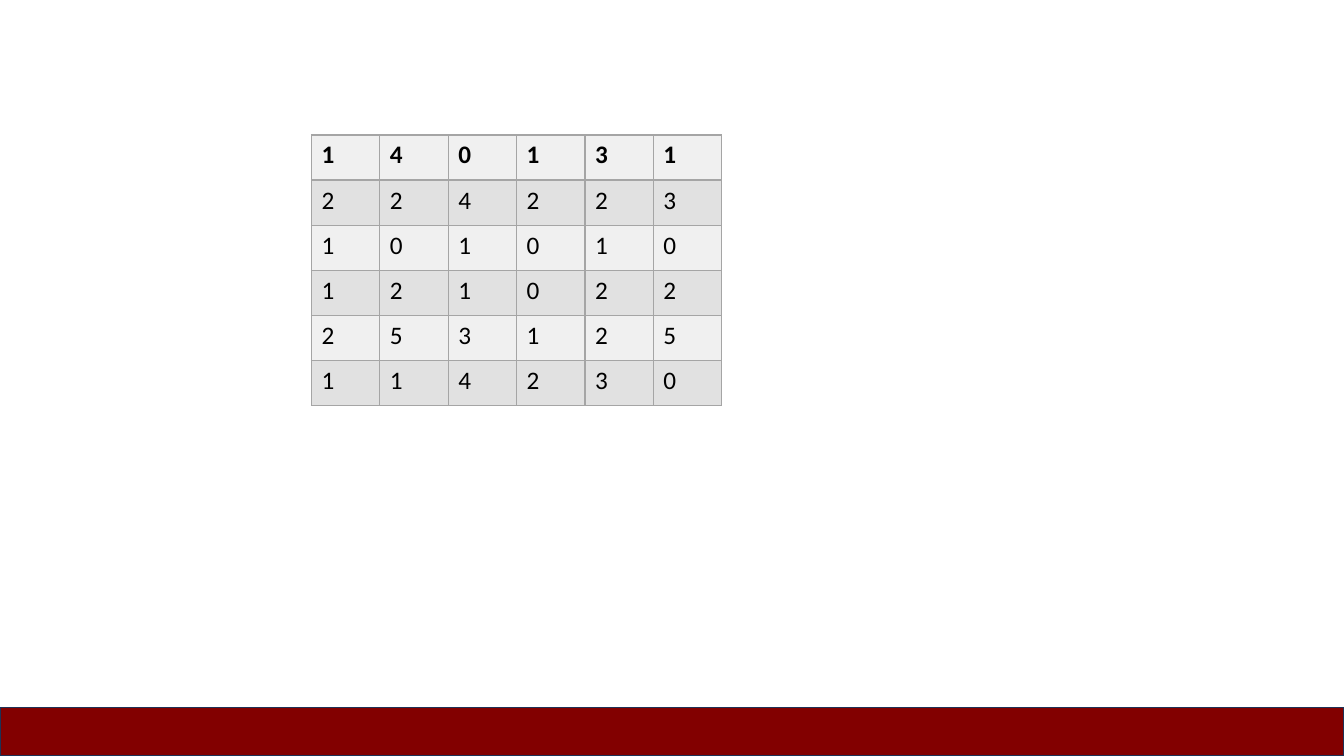
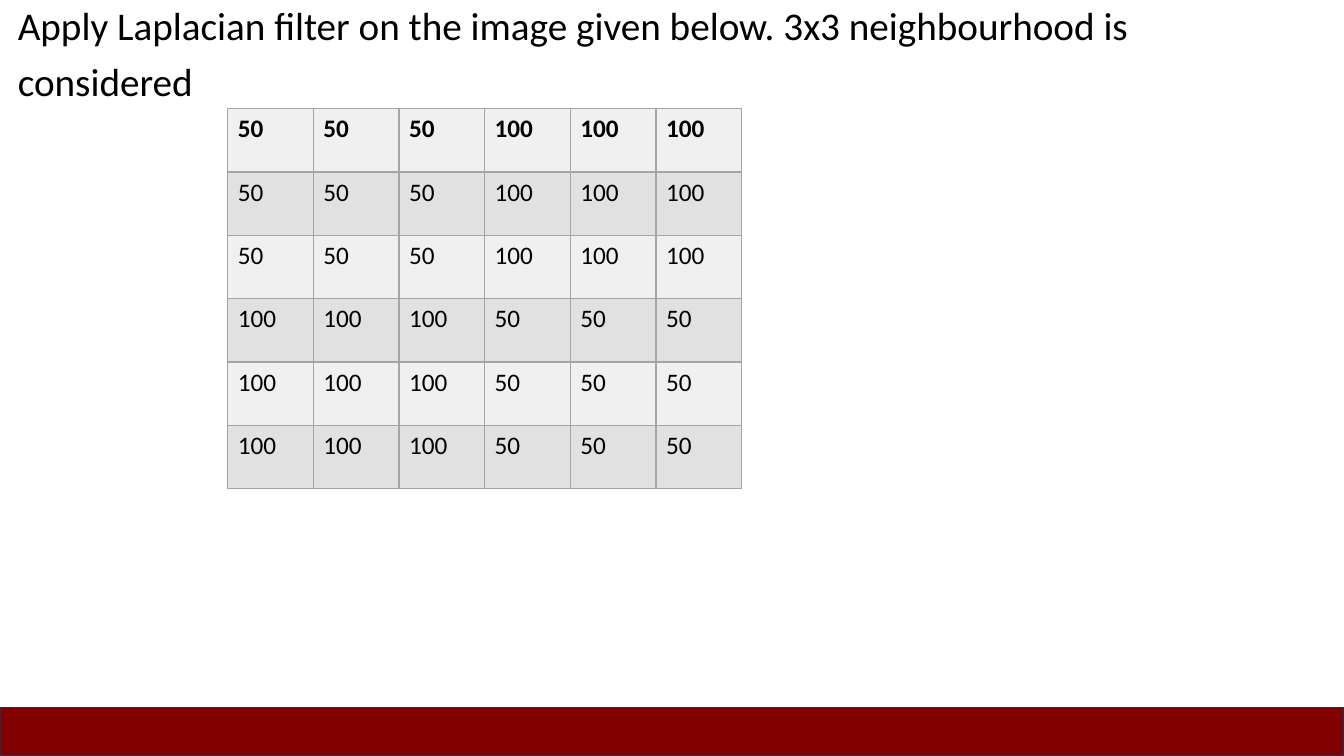
import dataclasses

import lxml.etree
import pptx
import pptx.dml.color
import pptx.enum.shapes
import pptx.oxml.ns
import pptx.util

Cm = pptx.util.Cm
Pt = pptx.util.Pt


def rgb(code):
    return pptx.dml.color.RGBColor.from_string(code)


# Colours and type sizes
@dataclasses.dataclass(frozen=True)
class Theme:
    font: str = "Calibri"
    ink: str = "000000"
    light: str = "F0F0F0"
    dark: str = "E1E1E1"
    grid: str = "A5A5A5"
    band: str = "820000"
    edge: str = "1E3256"
    body: int = 28
    cell: int = 18
    rule: int = 1


class Deck:
    """Holds the style and the current slide."""

    def __init__(self, theme):
        self.theme = theme
        self.show = pptx.Presentation()
        self.show.slide_width = Cm(33.87)
        self.show.slide_height = Cm(19.05)
        self.slide = None

    def start(self):
        self.slide = self.show.slides.add_slide(self.show.slide_layouts[6])

    def style(self, para, size, bold=False):
        for run in para.runs:
            run.font.name = self.theme.font
            run.font.size = Pt(size)
            run.font.bold = bold
            run.font.color.rgb = rgb(self.theme.ink)

    def text(self, lines, left, top, width, height):
        box = self.slide.shapes.add_textbox(Cm(left), Cm(top), Cm(width), Cm(height))
        frame = box.text_frame
        frame.word_wrap = True
        frame.text = "\n".join(lines)
        for row, para in enumerate(frame.paragraphs):
            para.line_spacing = 0.9
            para.space_before = Pt(10 if row else 0)
            self.style(para, self.theme.body)

    def border(self, cell):
        props = cell._tc.get_or_add_tcPr()
        qn = pptx.oxml.ns.qn
        for side in ("lnL", "lnR", "lnT", "lnB"):
            line = lxml.etree.SubElement(props, qn("a:" + side), w=str(Pt(self.theme.rule)))
            fill = lxml.etree.SubElement(line, qn("a:solidFill"))
            lxml.etree.SubElement(fill, qn("a:srgbClr"), val=self.theme.grid)

    def table(self, data, left, top, width, height):
        frame = self.slide.shapes.add_table(
            len(data), len(data[0]), Cm(left), Cm(top), Cm(width), Cm(height))
        for row, values in enumerate(data):
            shade = self.theme.dark if row % 2 else self.theme.light
            for col, value in enumerate(values):
                cell = frame.table.cell(row, col)
                self.border(cell)
                cell.fill.solid()
                cell.fill.fore_color.rgb = rgb(shade)
                cell.text_frame.text = str(value)
                self.style(cell.text_frame.paragraphs[0], self.theme.cell, bold=row == 0)

    def footer(self):
        high = Cm(1.22)
        wide = self.show.slide_width
        band = self.slide.shapes.add_shape(
            pptx.enum.shapes.MSO_SHAPE.RECTANGLE,
            0, self.show.slide_height - high, wide, high)
        band.shadow.inherit = False
        band.fill.solid()
        band.fill.fore_color.rgb = rgb(self.theme.band)
        band.line.color.rgb = rgb(self.theme.edge)
        band.line.width = Pt(self.theme.rule)


def main():
    deck = Deck(Theme())

    # Slide 1: grid of grey levels
    levels = [
        [1, 4, 0, 1, 3, 1],
        [2, 2, 4, 2, 2, 3],
        [1, 0, 1, 0, 1, 0],
        [1, 2, 1, 0, 2, 2],
        [2, 5, 3, 1, 2, 5],
        [1, 1, 4, 2, 3, 0],
    ]
    deck.start()
    deck.table(levels, 7.85, 3.4, 10.34, 6.83)
    deck.footer()

    # Slide 2: Laplacian task, four blocks of equal pixels
    low, high = [50] * 3, [100] * 3
    pixels = [low + high] * 3 + [high + low] * 3
    deck.start()
    deck.text(
        ["Apply Laplacian filter on the image given below. 3x3 neighbourhood is",
         "considered"],
        0.2, 0.03, 33.3, 18.72)
    deck.table(pixels, 5.74, 2.74, 12.95, 9.58)
    deck.footer()

    deck.show.save("out.pptx")


if __name__ == "__main__":
    main()
